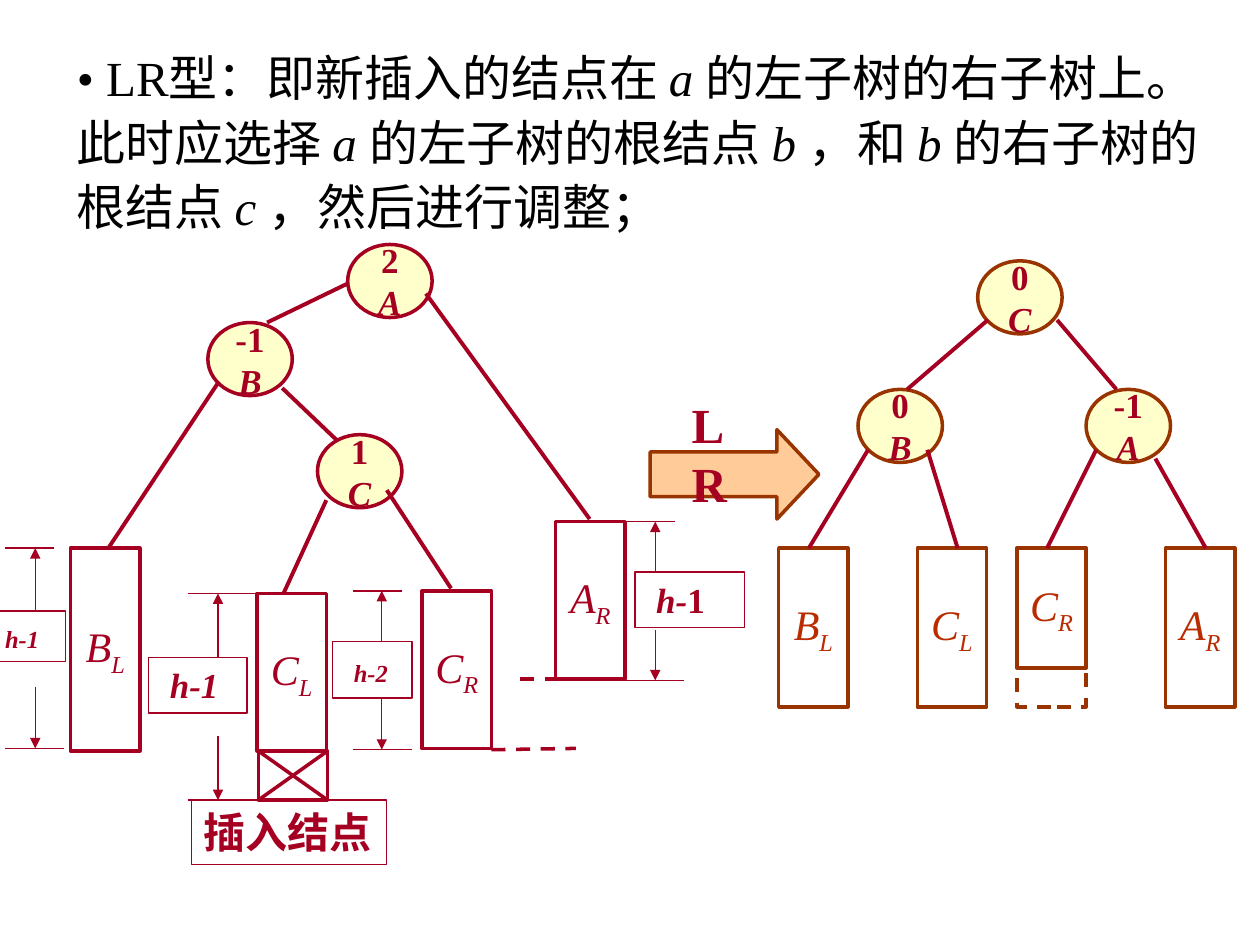
from dataclasses import dataclass

from lxml import etree
from pptx import Presentation
from pptx import util as u
from pptx.dml.color import RGBColor
from pptx.enum import dml, shapes, text
from pptx.oxml.ns import qn

EMU_PER_PX = 9144  # 100 px to the inch


@dataclass(frozen=True)
class Theme:
    font: str = "Times New Roman"
    ink: str = "000000"
    red: str = "A50021"
    brown: str = "993300"
    rust: str = "B82C00"
    cream: str = "FFFFCC"
    peach: str = "FFCC99"
    body: int = 28
    subtree: int = 24
    node: int = 20
    label: int = 18
    small: int = 14
    outline: float = 2
    edge: float = 2.25
    thin: float = 0.75


def px(*lengths):
    return [u.Emu(n * EMU_PER_PX) for n in lengths]


class Canvas:
    def __init__(self, slide, theme):
        self.slide, self.theme = slide, theme

    def stroke(self, line, color, width, dashed=False):
        line.color.rgb = RGBColor.from_string(color)
        line.width = u.Pt(width)
        if dashed:
            line.dash_style = dml.MSO_LINE.DASH

    def font(self, paragraph, size, color, bold=False):
        font = paragraph.font
        font.name, font.size, font.bold = self.theme.font, u.Pt(size), bold
        font.color.rgb = RGBColor.from_string(color)

    def run(self, paragraph, words, italic=False, size=None, sub=False):
        run = paragraph.add_run()
        run.text = words
        run.font.italic = italic
        if size:
            run.font.size = u.Pt(size)
        if sub:
            run._r.get_or_add_rPr().set("baseline", "-25000")

    def shape(self, kind, box, color, width, fill=None, dashed=False):
        shape = self.slide.shapes.add_shape(kind, *px(*box))
        shape.shadow.inherit = False
        if fill:
            shape.fill.solid()
            shape.fill.fore_color.rgb = RGBColor.from_string(fill)
        else:
            shape.fill.background()
        self.stroke(shape.line, color, width, dashed)
        return shape

    def rect(self, box, color, width=None, dashed=False):
        return self.shape(shapes.MSO_SHAPE.RECTANGLE, box, color,
                          width or self.theme.outline, dashed=dashed)

    def line(self, ends, width, dashed=False, arrow=False):
        line = self.slide.shapes.add_connector(shapes.MSO_CONNECTOR.STRAIGHT, *px(*ends))
        self.stroke(line.line, self.theme.red, width, dashed)
        if arrow:
            tip = etree.SubElement(line.line._get_or_add_ln(), qn("a:tailEnd"))
            tip.set("type", "triangle")
        etree.SubElement(line._element.spPr, qn("a:effectLst"))

    def centre(self, shape):
        frame = shape.text_frame
        frame.word_wrap = False
        frame.vertical_anchor = text.MSO_ANCHOR.MIDDLE
        return frame

    def node(self, x, y, balance, name, color):
        oval = self.shape(shapes.MSO_SHAPE.OVAL, (x, y, 67, 58), color,
                          self.theme.outline, self.theme.cream)
        frame = self.centre(oval)
        for paragraph, words in ((frame.paragraphs[0], balance), (frame.add_paragraph(), name)):
            paragraph.alignment = text.PP_ALIGN.CENTER
            self.font(paragraph, self.theme.node, self.theme.red, bold=True)
            self.run(paragraph, words, italic=words == name)

    def subtree(self, x, y, height, name, side, line_color, text_color):
        paragraph = self.centre(self.rect((x, y, 55, height), line_color)).paragraphs[0]
        paragraph.alignment = text.PP_ALIGN.CENTER
        self.font(paragraph, self.theme.subtree, text_color)
        self.run(paragraph, name, italic=True)
        self.run(paragraph, side, italic=True, sub=True)

    def label(self, box, runs, size, wrap=True):
        frame = self.rect(box, self.theme.red, self.theme.thin).text_frame
        frame.word_wrap = wrap
        frame.vertical_anchor = text.MSO_ANCHOR.TOP
        paragraph = frame.paragraphs[0]
        paragraph.alignment = text.PP_ALIGN.LEFT
        self.font(paragraph, size, self.theme.red, bold=True)
        for words, style in runs:
            self.run(paragraph, words, **style)

    def measure(self, left, top_end, bottom_end, axis, top, bottom, resume, box, runs, size):
        """Height mark: two end ticks, two outward arrows and a label between."""
        thin = self.theme.thin
        self.line((left, top, top_end, top), thin)
        self.line((left, bottom, bottom_end, bottom), thin)
        self.line((axis, resume, axis, bottom), thin, arrow=True)
        self.line((axis, box[1], axis, top), thin, arrow=True)
        self.label(box, runs, size)

    def statement(self, box, runs):
        body = self.slide.placeholders[1]
        body.left, body.top, body.width, body.height = px(*box)
        frame = body.text_frame
        frame.word_wrap = True
        frame.auto_size = text.MSO_AUTO_SIZE.NONE
        paragraph = frame.paragraphs[0]
        properties = paragraph._p.get_or_add_pPr()
        properties.set("marL", "0")
        properties.set("indent", "0")
        paragraph.line_spacing = 1.1
        paragraph.space_before = u.Pt(0)
        etree.SubElement(properties, qn("a:buNone"))
        self.font(paragraph, self.theme.body, self.theme.ink)
        for words in runs:
            self.run(paragraph, words, italic=words in ("a ", "b ", "c "))

    def rotation(self, arrow_box, caption_box, caption):
        arrow = self.shape(shapes.MSO_SHAPE.RIGHT_ARROW, arrow_box, self.theme.brown,
                           self.theme.outline, self.theme.peach)
        arrow.adjustments[1] = 0.47
        frame = self.slide.shapes.add_textbox(*px(*caption_box)).text_frame
        frame.word_wrap = True
        self.font(frame.paragraphs[0], self.theme.body, self.theme.red, bold=True)
        self.run(frame.paragraphs[0], caption)


def main():
    deck = Presentation()
    deck.slide_width, deck.slide_height = px(1000, 750)
    slide = deck.slides.add_slide(deck.slide_layouts[1])
    title = slide.shapes.title._element
    title.getparent().remove(title)
    theme = Theme()
    canvas = Canvas(slide, theme)

    # Statement of the LR case
    canvas.statement((51, 28, 921, 164), [
        "• LR型：即新插入的结点在 ", "a ", "的左子树的右子树上。此时应选择 ", "a ",
        "的左子树的根结点 ", "b ", "，和 ", "b ", "的右子树的根结点 ", "c ", "，然后进行调整；"])

    # Rotation arrow
    canvas.rotation((516, 341, 134, 71), (539, 308, 59, 104), "LR")

    # Nodes, subtrees and edges before and after the rotation
    before = ([(276, 194, "2", "A"), (165, 256, "-1", "B"), (252, 345, "1", "C")],
              [(56, 435, 161, "B", "L"), (441, 414, 125, "A", "R"),
               (335, 469, 125, "C", "R"), (204, 471, 125, "C", "L")],
              [(276, 225, 212, 256), (338, 233, 468, 412), (224, 308, 268, 350),
               (358, 467, 307, 389), (225, 471, 259, 397), (173, 304, 86, 435)],
              theme.red, theme.red)
    after = ([(776, 207, "0", "C"), (862, 309, "-1", "A"), (681, 309, "0", "B")],
             [(618, 435, 126, "B", "L"), (728, 435, 126, "C", "L"),
              (807, 435, 95, "C", "R"), (925, 435, 126, "A", "R")],
             [(839, 254, 886, 309), (917, 364, 957, 435), (784, 254, 720, 309),
              (870, 357, 831, 435), (689, 357, 642, 435), (736, 357, 760, 435)],
             theme.brown, theme.rust)
    for nodes, subtrees, edges, line_color, text_color in (before, after):
        for node in nodes:
            canvas.node(*node, line_color)
        for subtree in subtrees:
            canvas.subtree(*subtree, line_color, text_color)
        for edge in edges:
            canvas.line(edge, theme.edge)

    # Missing level under C_R and the dashed level marks
    canvas.rect((807, 530, 55, 31), theme.brown, dashed=True)
    for level in ((390, 595, 457, 594), (413, 539, 468, 539)):
        canvas.line(level, theme.outline, dashed=True)

    # Height marks
    gap, italic = (" ", {}), {"italic": True}
    small = {"italic": True, "size": theme.small}
    for mark in (
        (496, 536, 543, 520, 414, 540, 500, (504, 454, 87, 44),
         [gap, ("h-", italic), ("1", {})], theme.node),
        (280, 319, 327, 303, 469, 595, 555, (264, 509, 63, 45), [gap, ("h-2", small)], theme.node),
        (4, 43, 51, 28, 435, 594, 545, (-12, 485, 64, 40), [gap, ("h-1", small)], theme.label),
        (149, 205, 212, 173, 471, 635, 584, (118, 522, 78, 44), [gap, ("h-1", italic)], theme.node),
    ):
        canvas.measure(*mark)

    # Inserted node
    canvas.label((152, 635, 155, 51), [("插入结点", {})], theme.subtree, wrap=False)
    canvas.rect((205, 596, 55, 39), theme.red)
    for diagonal in ((260, 596, 205, 635), (205, 596, 260, 635)):
        canvas.line(diagonal, theme.outline)

    deck.save("out.pptx")


if __name__ == "__main__":
    main()
